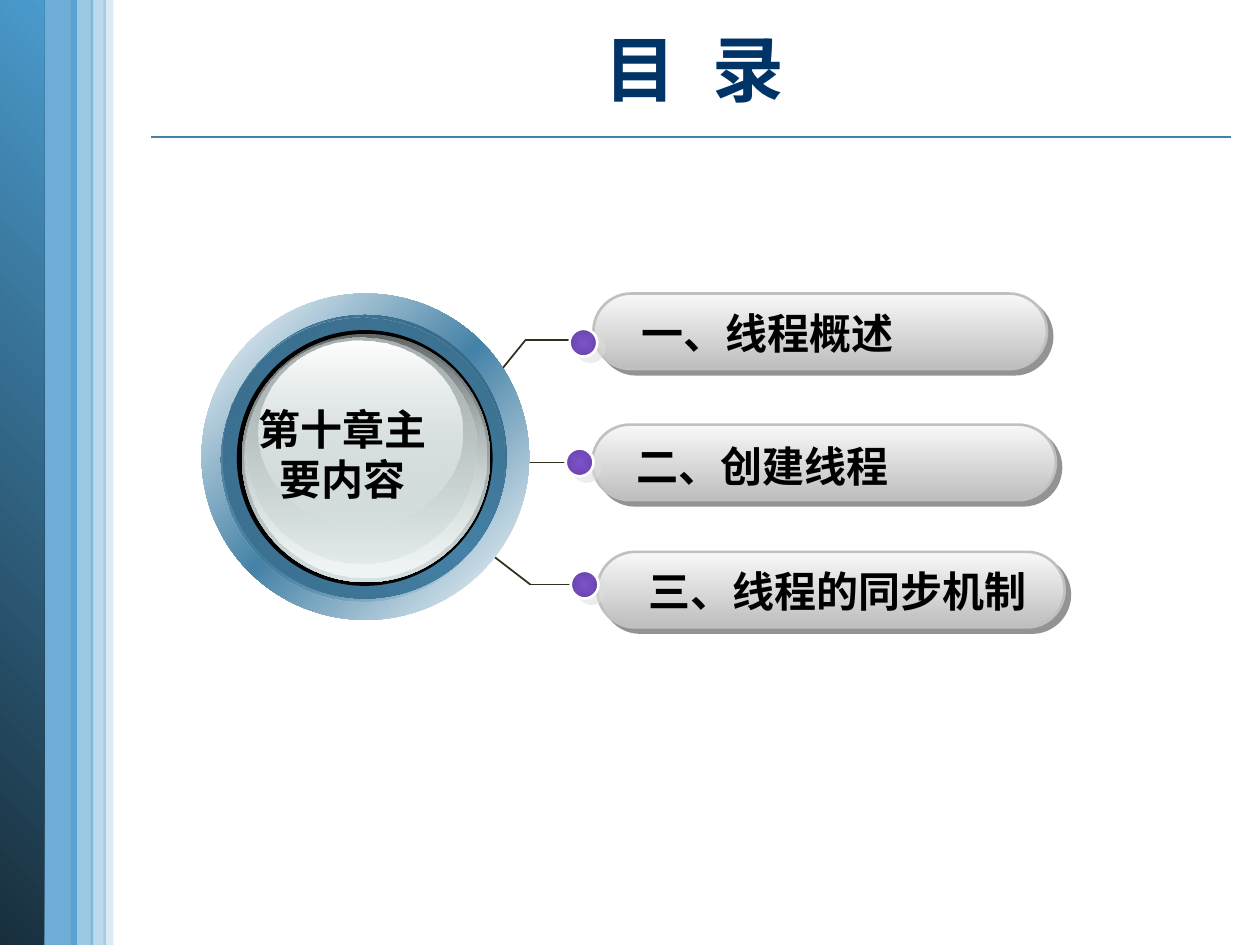
from dataclasses import dataclass
from typing import Optional

import pptx
import pptx.dml.color
import pptx.enum.shapes
import pptx.enum.text
import pptx.oxml
import pptx.oxml.ns
import pptx.util

RGB = pptx.dml.color.RGBColor
SHAPE = pptx.enum.shapes.MSO_SHAPE
ALIGN = pptx.enum.text.PP_ALIGN
ANCHOR = pptx.enum.text.MSO_ANCHOR
qn = pptx.oxml.ns.qn

WHITE, BLACK = RGB(0xFF, 0xFF, 0xFF), RGB(0, 0, 0)
NAVY, DEEP = RGB(0x00, 0x33, 0x66), RGB(0x18, 0x2E, 0x3C)
SKY, STEEL = RGB(0x4A, 0x9A, 0xCC), RGB(0x45, 0x82, 0xA7)
RIM, RIM_LIGHT = RGB(0x35, 0x64, 0x80), RGB(0x39, 0x6B, 0x89)
SLATE, GLASS = RGB(0x63, 0x68, 0x69), RGB(0xD6, 0xE1, 0xE2)
GLASS_LIGHT, GLASS_DARK = RGB(0xF1, 0xF5, 0xF5), RGB(0xAA, 0xB2, 0xB3)
PILL_TOP, PILL_END = RGB(0xF8, 0xF8, 0xF8), RGB(0xBE, 0xBE, 0xBE)
PILL_EDGE, PILL_SHADE = RGB(0xC0, 0xC0, 0xC0), RGB(0x29, 0x29, 0x29)
VIOLET, PURPLE = RGB(0x7E, 0x52, 0xCC), RGB(0x6A, 0x45, 0xAB)
DOT_SHADE, WIRE = RGB(0xDD, 0xDD, 0xDD), RGB(0x30, 0x31, 0x1D)

COLS, ROWS = 100, 75  # square grid cells over the slide
CELL = pptx.util.Inches(0.1)
BODY = {"name": "Arial", "size": pptx.util.Pt(24), "bold": True}
HEAD = {**BODY, "size": pptx.util.Pt(41)}


@dataclass
class Box:
    col: float
    row: float
    cols: float
    rows: float

    def emu(self) -> list:
        return [cells(v) for v in (self.col, self.row, self.cols, self.rows)]


@dataclass
class Gradient:
    stops: list  # (position %, colour, opacity %)
    angle: Optional[int] = 90  # None runs from the centre outwards


@dataclass
class Shadow:
    color: RGB
    dist: float
    angle: int


@dataclass
class Item:
    text: str
    pill: Box
    dot: tuple
    label: Box
    wire: list


def cells(n: float) -> int:
    return int(n * CELL)


def xml(body: str):
    tag, rest = body[1:].split(" ", 1)
    return pptx.oxml.parse_xml(f'<{tag} {pptx.oxml.ns.nsdecls("a")} {rest}')


def paint_gradient(sp, grad: Gradient) -> None:
    sp.fill.gradient()
    stops = "".join(
        f'<a:gs pos="{pos * 1000}"><a:srgbClr val="{c}"><a:alpha val="{a * 1000}"/></a:srgbClr></a:gs>'
        for pos, c, a in grad.stops)
    if grad.angle is None:
        way = '<a:path path="shape"><a:fillToRect l="50000" t="50000" r="50000" b="50000"/></a:path>'
    else:
        way = f'<a:lin ang="{grad.angle * 60000}" scaled="0"/>'
    spPr = sp._element.spPr
    spPr.replace(spPr.find(qn("a:gradFill")),
                 xml(f'<a:gradFill rotWithShape="1"><a:gsLst>{stops}</a:gsLst>{way}</a:gradFill>'))


def add_shape(s, kind, box: Box, fill, opacity: int = 100,
              edge: Optional[RGB] = None, shadow: Optional[Shadow] = None):
    sp = s.shapes.add_shape(kind, *box.emu())
    sp.shadow.inherit = False
    if isinstance(fill, Gradient):
        paint_gradient(sp, fill)
    else:
        sp.fill.solid()
        sp.fill.fore_color.rgb = fill
        if opacity < 100:
            sp._element.spPr.find(".//" + qn("a:srgbClr")).append(xml(f'<a:alpha val="{opacity * 1000}"/>'))
    if edge is None:
        sp.line.fill.background()
    else:
        sp.line.color.rgb = edge
        sp.line.width = pptx.util.Pt(1.5)
    if shadow:
        sp._element.spPr.find(qn("a:effectLst")).append(xml(
            f'<a:outerShdw dist="{pptx.util.Pt(shadow.dist)}" dir="{shadow.angle * 60000}" algn="ctr" '
            f'rotWithShape="0"><a:srgbClr val="{shadow.color}"><a:alpha val="50000"/></a:srgbClr></a:outerShdw>'))
    return sp


def add_line(s, start: tuple, end: tuple, color: RGB) -> None:
    ln = s.shapes.add_connector(pptx.enum.shapes.MSO_CONNECTOR.STRAIGHT,
                                *(cells(v) for v in start + end))
    ln.line.color.rgb = color
    ln.line.width = pptx.util.Pt(1)
    ln._element.spPr.append(xml("<a:effectLst />"))


def add_run(p, text: str, color: RGB, formats: dict):
    r = p.add_run()
    r.text = text
    for name, value in formats.items():
        setattr(r.font, name, value)
    r.font.color.rgb = color
    return r


def add_text(s, box: Box, text: str, **formats) -> None:
    tf = s.shapes.add_textbox(*box.emu()).text_frame
    tf.auto_size = pptx.enum.text.MSO_AUTO_SIZE.SHAPE_TO_FIT_TEXT
    align = formats.pop("align", ALIGN.LEFT)
    for name, value in formats.items():
        setattr(tf, name, value)
    tf.paragraphs[0].alignment = align
    add_run(tf.paragraphs[0], text, BLACK, BODY)


STRIPES = [
    (Box(3, 0, 3.1, ROWS), SKY, 80),
    (Box(0, 0, 3.5, ROWS), Gradient([(0, DEEP, 100), (100, SKY, 100)], 315), 100),
    (Box(8.2, 0, 0.8, ROWS), SKY, 20),
    (Box(5.6, 0, 1.8, ROWS), SKY, 54),
    (Box(7.2, 0, 1.2, ROWS), SKY, 37),
]
ITEMS = [
    Item("一、线程概述", Box(47.1, 23.3, 36, 6), (45.2, 26.1), Box(49.9, 23.9, 22.3, 5),
         [(38.7, 30.7), (41.7, 27), (46.7, 27)]),
    Item("二、创建线程", Box(47, 33.7, 36.8, 6), (44.9, 35.6), Box(49.5, 34.5, 22.3, 5),
         [(39.7, 36.7), (45.7, 36.7)]),
    Item("三、线程的同步机制", Box(47.4, 43.8, 37.1, 6), (45.3, 45.3), Box(50.5, 44.4, 32.5, 5),
         [(38.2, 43.4), (42.1, 46.4), (47.4, 46.4)]),
]
DISCS = [  # back to front
    (Box(16, 23.3, 26, 25.9), Gradient([(0, WHITE, 100), (50, STEEL, 100), (100, WHITE, 100)], 45)),
    (Box(17.7, 25, 22.5, 22.5), Gradient([(0, RIM, 100), (50, STEEL, 100), (100, RIM, 100)], 315)),
    (Box(17.5, 25.2, 22.5, 22.5), Gradient([(0, RIM_LIGHT, 100), (100, STEEL, 0)], 45)),
    (Box(18.8, 26.2, 20.3, 20.3), BLACK),
    (Box(19.2, 26.5, 19.7, 19.7), Gradient([(0, SLATE, 100), (100, GLASS, 100)])),
    (Box(19.4, 26.6, 19.2, 19.2), Gradient([(0, GLASS, 0), (100, GLASS_LIGHT, 100)])),
    (Box(19.6, 26.8, 18.2, 17.9), Gradient([(0, GLASS_DARK, 100), (100, GLASS, 48)])),
    (Box(20.5, 27, 16.2, 14.6), Gradient([(0, WHITE, 100), (100, GLASS, 38)])),
]


def main() -> None:
    prs = pptx.Presentation()
    prs.slide_width, prs.slide_height = cells(COLS), cells(ROWS)
    s = prs.slides.add_slide(prs.slide_layouts[5])

    # Side stripes and the rule under the title
    add_line(s, (12, 10.9), (97.7, 10.9), STEEL)
    for box, fill, opacity in STRIPES:
        add_shape(s, SHAPE.RECTANGLE, box, fill, opacity)

    # Title, with a widened space between its two characters
    title = s.shapes.title
    title.left, title.top, title.width, title.height = Box(11.6, -0.2, 87, 11.1).emu()
    title.text_frame.vertical_anchor = ANCHOR.MIDDLE
    p = title.text_frame.paragraphs[0]
    p.alignment = ALIGN.CENTER
    _, gap, _ = [add_run(p, text, NAVY, HEAD) for text in ("目", " ", "录")]
    gap._r.get_or_add_rPr().set("spc", "1140")

    # Pills, wires and dots
    for item in reversed(ITEMS):
        pill = add_shape(s, SHAPE.ROUNDED_RECTANGLE, item.pill,
                         Gradient([(0, PILL_TOP, 100), (100, PILL_END, 100)]),
                         edge=PILL_EDGE, shadow=Shadow(PILL_SHADE, 4.2, 45))
        pill.adjustments[0] = 0.5
    for item in ITEMS:
        for start, end in zip(item.wire, item.wire[1:]):
            add_line(s, start, end, WIRE)
        add_shape(s, SHAPE.OVAL, Box(*item.dot, 2.2, 2.2),
                  Gradient([(0, VIOLET, 100), (100, PURPLE, 100)], None),
                  edge=WHITE, shadow=Shadow(DOT_SHADE, 5, 37))
        add_text(s, item.label, item.text, word_wrap=False, vertical_anchor=ANCHOR.MIDDLE)

    # Glass button with the chapter name
    for box, fill in DISCS:
        add_shape(s, SHAPE.OVAL, box, fill)
    add_text(s, Box(19, 31.5, 16.3, 9.1), "第十章主要内容", word_wrap=True, align=ALIGN.CENTER)

    prs.save("out.pptx")


if __name__ == "__main__":
    main()
